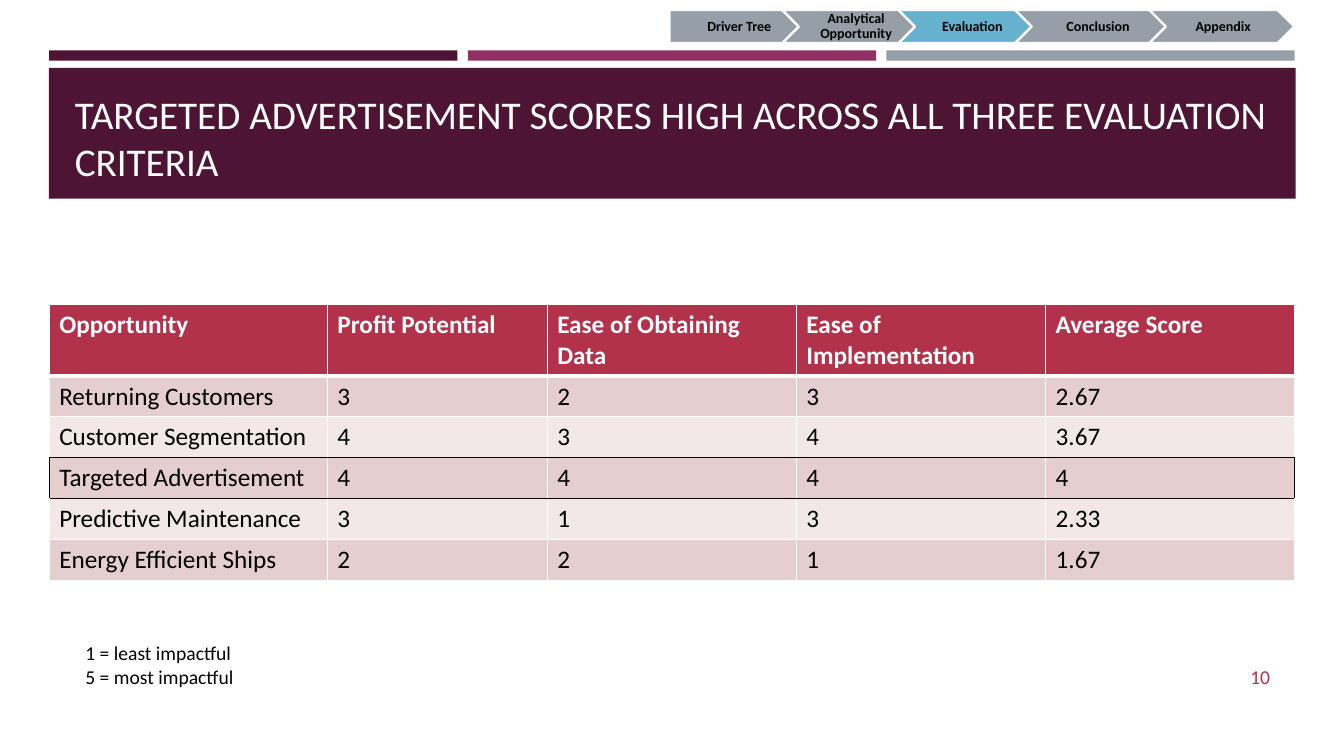
import pptx
import pptx.dml.color
import pptx.enum.shapes
import pptx.enum.text
import pptx.oxml
import pptx.oxml.ns
import pptx.util

Cm = pptx.util.Cm
Pt = pptx.util.Pt
Align = pptx.enum.text.PP_ALIGN
Anchor = pptx.enum.text.MSO_ANCHOR
Shape = pptx.enum.shapes.MSO_SHAPE

PLUM, MAGENTA, GREY, BLUE = "4D1434", "903163", "969FA7", "66B1CE"
RED, PINK, PALE, WHITE, BLACK = "B2324B", "E4CED0", "F2E8E9", "FFFFFF", "000000"

STEPS = [
    ("Driver Tree", 16.87, 3.66),
    ("Analytical Opportunity", 19.71, 3.66),
    ("Evaluation", 22.64, 3.66),
    ("Conclusion", 25.58, 4.11),
    ("Appendix", 28.96, 3.66),
]
CURRENT_STEP = "Evaluation"

SCORES = [
    ["Opportunity", "Profit Potential", "Ease of Obtaining Data",
     "Ease of Implementation", "Average Score"],
    ["Returning Customers", "3", "2", "3", "2.67"],
    ["Customer Segmentation", "4", "3", "4", "3.67"],
    ["Targeted Advertisement", "4", "4", "4", "4"],
    ["Predictive Maintenance", "3", "1", "3", "2.33"],
    ["Energy Efficient Ships", "2", "2", "1", "1.67"],
]
COLUMN_WIDTHS = [7.01, 5.54, 6.28, 6.28, 6.28]
WINNER = 3


def paint(target, colour):
    target.solid()
    target.fore_color.rgb = pptx.dml.color.RGBColor.from_string(colour)


def write(frame, text, size=18, colour=BLACK, bold=False, align=Align.LEFT,
          anchor=Anchor.TOP, spacing=None):
    frame.word_wrap = True
    frame.vertical_anchor = anchor
    frame.text = text
    for paragraph in frame.paragraphs:
        paragraph.alignment = align
        paragraph.line_spacing = spacing
        for run in paragraph.runs:
            run.font.name = "Calibri"
            run.font.size = Pt(size)
            run.font.bold = bold
            paint(run.font.fill, colour)


def draw_border(cell, side, colour, width):
    line = pptx.oxml.parse_xml(
        f'<a:ln{side} {pptx.oxml.ns.nsdecls("a")} w="{Pt(width)}"><a:solidFill>'
        f'<a:srgbClr val="{colour}"/></a:solidFill></a:ln{side}>')
    cell._tc.get_or_add_tcPr().append(line)


class Deck:
    def __init__(self):
        self.presentation = pptx.Presentation()
        self.presentation.slide_width = Cm(33.87)
        self.presentation.slide_height = Cm(19.05)
        layout = self.presentation.slide_layouts.get_by_name("Title Only")
        self.slide = self.presentation.slides.add_slide(layout)

    def shape(self, kind, left, top, width, height, fill, outline=None):
        shape = self.slide.shapes.add_shape(
            kind, Cm(left), Cm(top), Cm(width), Cm(height))
        shape.shadow.inherit = False
        paint(shape.fill, fill)
        if outline:
            paint(shape.line.fill, outline)
            shape.line.width = Pt(1.75)
        else:
            shape.line.fill.background()
        return shape

    def title(self, text, left, top, width, height):
        title = self.slide.shapes.title
        title.left, title.top = Cm(left), Cm(top)
        title.width, title.height = Cm(width), Cm(height)
        title.text_frame.auto_size = pptx.enum.text.MSO_AUTO_SIZE.NONE
        write(title.text_frame, text, size=28, colour=WHITE, anchor=Anchor.BOTTOM)
        self.slide.shapes._spTree.append(title._element)

    def text(self, text, left, top, width, height, **style):
        box = self.slide.shapes.add_textbox(
            Cm(left), Cm(top), Cm(width), Cm(height))
        write(box.text_frame, text, **style)

    def step(self, kind, name, left, width):
        fill = BLUE if name == CURRENT_STEP else GREY
        frame = self.shape(kind, left, 0.25, width, 0.84, fill, WHITE).text_frame
        frame.margin_left, frame.margin_right = Cm(0.1), Cm(0.03)
        frame.margin_top = frame.margin_bottom = Cm(0.08)
        write(frame, name, size=10, bold=True, align=Align.CENTER,
              anchor=Anchor.MIDDLE, spacing=0.9)

    def table(self, rows, left, top, widths, header_height, row_height):
        height = header_height + row_height * (len(rows) - 1)
        table = self.slide.shapes.add_table(
            len(rows), len(widths), Cm(left), Cm(top),
            Cm(sum(widths)), Cm(height)).table
        for column, width in zip(table.columns, widths):
            column.width = Cm(width)
        for r, values in enumerate(rows):
            table.rows[r].height = Cm(row_height if r else header_height)
            for c, value in enumerate(values):
                self.cell(table.cell(r, c), value, r, c, len(values) - 1)

    def cell(self, cell, value, r, c, last):
        header = r == 0
        framed = {
            "L": r == WINNER and c == 0,
            "R": r == WINNER and c == last,
            "T": r in (WINNER, WINNER + 1),
            "B": r in (WINNER - 1, WINNER),
        }
        for side, dark in framed.items():
            thick = (r, side) in ((0, "B"), (1, "T"))
            draw_border(cell, side, BLACK if dark else WHITE, 3 if thick else 1)
        paint(cell.fill, RED if header else PINK if r % 2 else PALE)
        write(cell.text_frame, value, colour=WHITE if header else BLACK, bold=header)


def main():
    deck = Deck()
    for i, colour in enumerate([PLUM, MAGENTA, GREY]):
        deck.shape(Shape.RECTANGLE, 1.24 + 10.55 * i, 1.27, 10.29, 0.26, colour)
    deck.shape(Shape.RECTANGLE, 1.23, 1.71, 31.42, 3.3, PLUM)
    deck.title("TARGETED ADVERTISEMENT SCORES HIGH ACROSS ALL THREE EVALUATION CRITERIA",
               1.63, 1.96, 30.63, 2.82)
    deck.table(SCORES, 1.24, 7.67, COLUMN_WIDTHS, 1.78, 1.03)
    deck.text("10", 29.34, 16.54, 2.92, 1.02, size=14, colour=RED,
              align=Align.RIGHT, anchor=Anchor.MIDDLE)
    for i, (name, left, width) in enumerate(STEPS):
        deck.step(Shape.CHEVRON if i else Shape.PENTAGON, name, left, width)
    deck.text("1 = least impactful\n5 = most impactful", 1.9, 16.03, 5.92, 1.45, size=14)
    deck.presentation.save("out.pptx")


if __name__ == "__main__":
    main()
